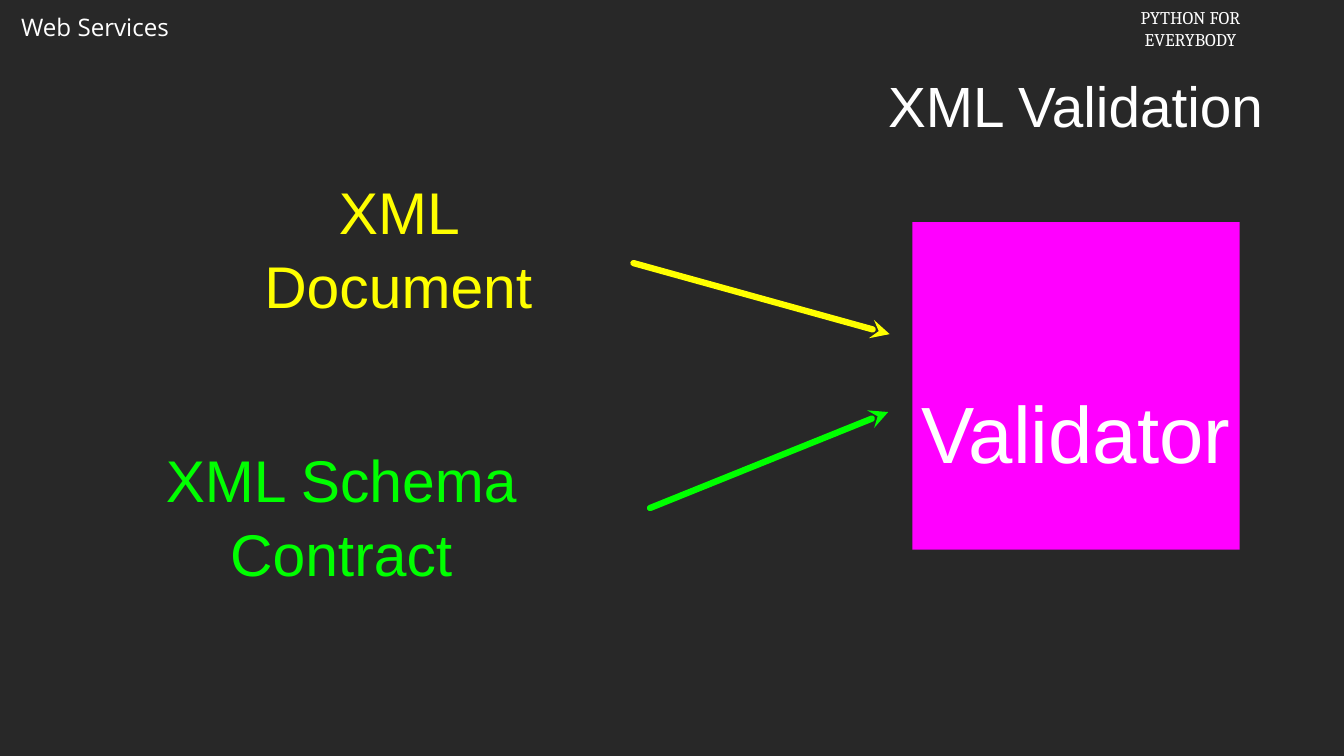
from dataclasses import dataclass

from lxml import etree
from pptx import Presentation
from pptx.dml.color import RGBColor
from pptx.enum.shapes import MSO_CONNECTOR, MSO_SHAPE
from pptx.enum.text import MSO_ANCHOR, MSO_AUTO_SIZE, PP_ALIGN
from pptx.oxml.ns import qn
from pptx.util import Inches, Pt

CENTER, LEFT = PP_ALIGN.CENTER, PP_ALIGN.LEFT
MIDDLE, TOP = MSO_ANCHOR.MIDDLE, MSO_ANCHOR.TOP
FIXED = MSO_AUTO_SIZE.NONE
RECTANGLE = MSO_SHAPE.RECTANGLE
STRAIGHT = MSO_CONNECTOR.STRAIGHT
TITLE_ONLY = 5


@dataclass(frozen=True)
class Theme:
    background: str = "282828"
    white: str = "FFFFFF"
    document: str = "FFFF00"
    schema: str = "00FF00"
    validator: str = "FF00FF"
    body_font: str = "Arial"
    chapter_font: str = "Open Sans"
    course_font: str = "Cambria"
    chapter_size: int = 23
    course_size: int = 17
    title_size: int = 54
    label_size: int = 56
    validator_size: int = 76
    arrow_width: int = 6


THEME = Theme()


def color(value):
    return RGBColor.from_string(value)


def write_text(frame, text, size, ink, font=THEME.body_font, align=CENTER, spacing=None):
    frame.text = text
    for para in frame.paragraphs:
        para.alignment = align
        if spacing:
            para.line_spacing = spacing
        for span in para.runs:
            span.font.name = font
            span.font.size = Pt(size)
            span.font.color.rgb = color(ink)


def set_frame(frame, anchor=MIDDLE, wrap=True, inset=0, top_inset=0):
    frame.auto_size = FIXED
    frame.word_wrap = wrap
    frame.vertical_anchor = anchor
    frame.margin_left = frame.margin_right = Inches(inset)
    frame.margin_bottom = Inches(inset)
    frame.margin_top = Inches(inset + top_inset)


def add_header(page, place, text, size, font, align):
    box = page.shapes.add_textbox(*map(Inches, place))
    set_frame(box.text_frame, TOP, wrap=False, inset=0.05)
    box.text_frame.margin_left = box.text_frame.margin_right = Inches(0.1)
    write_text(box.text_frame, text, size, THEME.white, font, align)


def add_label(page, place, text, ink):
    box = page.shapes.add_textbox(*map(Inches, place))
    set_frame(box.text_frame)
    write_text(box.text_frame, text, THEME.label_size, ink, spacing=1.05)


def add_validator(page, place):
    box = page.shapes.add_shape(RECTANGLE, *map(Inches, place))
    box.shadow.inherit = False
    box.fill.solid()
    box.fill.fore_color.rgb = color(THEME.validator)
    box.line.fill.background()
    set_frame(box.text_frame, top_inset=1.21)
    write_text(box.text_frame, "Validator", THEME.validator_size, THEME.white)


def add_arrow(page, tip, origin, ink):
    arrow = page.shapes.add_connector(STRAIGHT, *map(Inches, tip + origin))
    arrow.line.color.rgb = color(ink)
    arrow.line.width = Pt(THEME.arrow_width)
    properties = arrow.line._get_or_add_ln()
    properties.set("cap", "rnd")
    etree.SubElement(properties, qn("a:round"))
    etree.SubElement(properties, qn("a:headEnd"), type="stealth")
    etree.SubElement(arrow._element.spPr, qn("a:effectLst"))


def set_title(page, place, text):
    title = page.shapes.title
    title.left, title.top, title.width, title.height = map(Inches, place)
    set_frame(title.text_frame)
    write_text(title.text_frame, text, THEME.title_size, THEME.white)


def main():
    deck = Presentation()
    deck.slide_width, deck.slide_height = Inches(17.78), Inches(10)
    page = deck.slides.add_slide(deck.slide_layouts[TITLE_ONLY])
    page.background.fill.solid()
    page.background.fill.fore_color.rgb = color(THEME.background)

    add_header(page, (0.18, 0.12, 2.22, 0.49), "Web Services",
               THEME.chapter_size, THEME.chapter_font, LEFT)
    add_header(page, (14.88, 0.04, 1.74, 0.67), "PYTHON FOR\nEVERYBODY",
               THEME.course_size, THEME.course_font, CENTER)
    add_validator(page, (12.07, 2.94, 4.33, 4.33))
    add_label(page, (0.84, 6.3, 7.35, 1), "XML Schema Contract", THEME.schema)
    add_label(page, (2.65, 2.76, 5.24, 1), "XML Document", THEME.document)
    add_arrow(page, (11.77, 4.42), (8.38, 3.48), THEME.document)
    add_arrow(page, (11.75, 5.45), (8.6, 6.72), THEME.schema)
    set_title(page, (11.56, 0.83, 5.34, 1.1), "XML Validation")

    deck.save("out.pptx")


if __name__ == "__main__":
    main()
